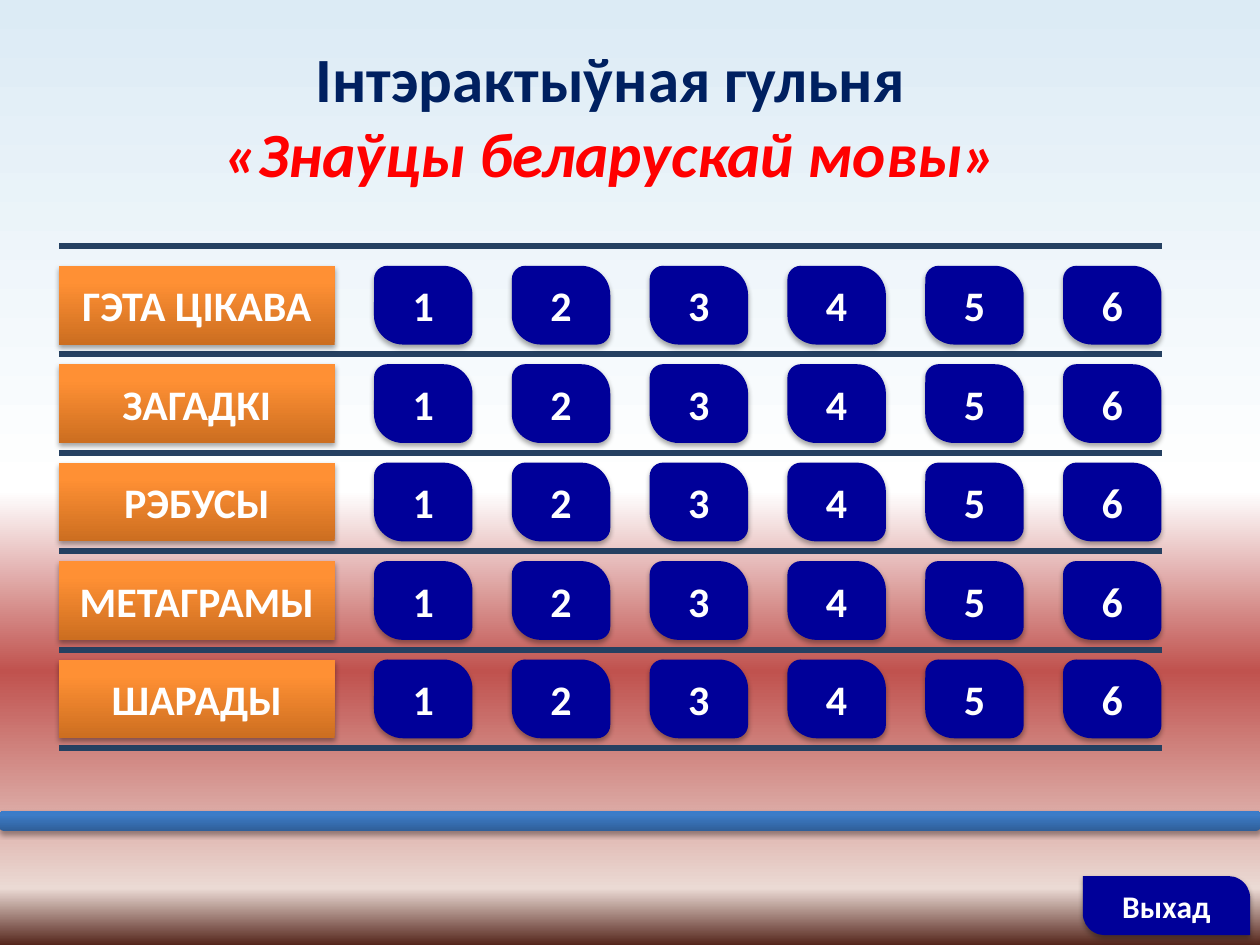
from lxml import etree
from pptx import Presentation
from pptx import util as u
from pptx.dml.color import RGBColor
from pptx.enum import shapes, text
from pptx.oxml.ns import qn

TITLE = [
    ("Інтэрактыўная гульня", {"color": "002060"}),
    ("«Знаўцы беларускай мовы»", {"color": "FF0000", "italic": True}),
]
CATEGORIES = ["ГЭТА ЦІКАВА", "ЗАГАДКІ", "РЭБУСЫ", "МЕТАГРАМЫ", "ШАРАДЫ"]
QUESTIONS = ["1", "2", "3", "4", "5", "6"]
EXIT = "Выхад"

THEME = {
    "font": "Calibri", "title": 36, "game": 24, "exit": 18,
    "white": "FFFFFF", "tile": "000099", "rule": "254061", "shadow": "000000",
    "sky": [(0, "DCEBF5"), (52, "FFFFFF"), (71, "C0524E"),
            (94, "EBDAD4"), (100, "55261C")],
    "orange": [(0, "CC6E20"), (80, "FF9034"), (100, "FF9136")],
    "blue": [(0, "2F5F99"), (80, "3D7CC7"), (100, "3A7CCB")],
}

# All lengths in points
WIDTH, HEIGHT = 720, 540
LEFT, TOP = 33.75, 151.9
ROW_PITCH, ROW_HEIGHT = 56.25, 45
LABEL_WIDTH = 157.5
TILE_LEFT, TILE_PITCH, TILE_WIDTH = 213.75, 78.75, 56.25
RIGHT = TILE_LEFT + (len(QUESTIONS) - 1) * TILE_PITCH + TILE_WIDTH
RULE_TOP, RULE_GAP = 140.6, 5.6


def child(parent, tag, **attributes):
    return etree.SubElement(parent, qn(tag), attributes)


def fill_gradient(fill, owner, stops, angle):
    """Fill with any number of stops; the angle runs clockwise in degrees."""
    fill.gradient()
    gradient = next(owner.iter(qn("a:gradFill")))
    for part in list(gradient):
        gradient.remove(part)
    stop_list = child(gradient, "a:gsLst")
    for position, color in stops:
        stop = child(stop_list, "a:gs", pos=str(position * 1000))
        child(stop, "a:srgbClr", val=color)
    child(gradient, "a:lin", ang=str(angle * 60000), scaled="0")


def drop_shadow(shape):
    shape.shadow.inherit = False
    effects = shape.element.spPr.find(qn("a:effectLst"))
    shadow = child(effects, "a:outerShdw", blurRad=str(u.Pt(3.1)),
                   dist=str(u.Pt(1.8)), dir="5400000", rotWithShape="0")
    color = child(shadow, "a:srgbClr", val=THEME["shadow"])
    child(color, "a:alpha", val="35000")


def write(paragraph, words, size, color=THEME["white"], italic=False):
    paragraph.alignment = text.PP_ALIGN.CENTER
    run = paragraph.add_run()
    run.text = words
    run.font.name = THEME["font"]
    run.font.size = u.Pt(size)
    run.font.bold = True
    run.font.italic = italic
    run.font.color.rgb = RGBColor.from_string(color)


def add_block(slide, kind, box, fill, words="", size=THEME["game"], corners=()):
    """Add a shadowed shape; fill is one colour or a list of gradient stops."""
    block = slide.shapes.add_shape(kind, *map(u.Pt, box))
    for index, corner in enumerate(corners):
        block.adjustments[index] = corner
    if isinstance(fill, str):
        block.fill.solid()
        block.fill.fore_color.rgb = RGBColor.from_string(fill)
    else:
        fill_gradient(block.fill, block.element, fill, 270)
    block.line.fill.background()
    drop_shadow(block)
    if words:
        block.text_frame.vertical_anchor = text.MSO_ANCHOR.MIDDLE
        write(block.text_frame.paragraphs[0], words, size)


def add_rule(slide, y):
    rule = slide.shapes.add_connector(
        shapes.MSO_CONNECTOR.STRAIGHT, *map(u.Pt, (LEFT, y, RIGHT, y)))
    rule.line.color.rgb = RGBColor.from_string(THEME["rule"])
    rule.line.width = u.Pt(3.5)
    child(rule.element.spPr, "a:effectLst")


def add_title(slide):
    title = slide.shapes.title
    title.left, title.top, title.width, title.height = map(
        u.Pt, (118, 31.7, 461.5, 67.7))
    title.text_frame.word_wrap = True
    title.text_frame.auto_size = text.MSO_AUTO_SIZE.NONE
    title.text_frame.vertical_anchor = text.MSO_ANCHOR.MIDDLE
    paragraph = title.text_frame.paragraphs[0]
    for index, (words, style) in enumerate(TITLE):
        if index:
            paragraph.add_line_break()
        write(paragraph, words, THEME["title"], **style)


def add_game_board(slide):
    shape_kind = shapes.MSO_SHAPE
    add_rule(slide, RULE_TOP)
    for row, category in enumerate(CATEGORIES):
        top = TOP + row * ROW_PITCH
        add_rule(slide, top + ROW_HEIGHT + RULE_GAP)
        add_block(slide, shape_kind.RECTANGLE,
                  (LEFT, top, LABEL_WIDTH, ROW_HEIGHT), THEME["orange"], category)
        for column, question in enumerate(QUESTIONS):
            left = TILE_LEFT + column * TILE_PITCH
            add_block(slide, shape_kind.ROUND_2_DIAG_RECTANGLE,
                      (left, top, TILE_WIDTH, ROW_HEIGHT), THEME["tile"],
                      question, corners=(0.17, 0.37))


def main():
    deck = Presentation()
    deck.slide_width, deck.slide_height = u.Pt(WIDTH), u.Pt(HEIGHT)
    slide = deck.slides.add_slide(deck.slide_layouts[5])
    fill_gradient(slide.background.fill, slide.element, THEME["sky"], 90)
    add_title(slide)
    add_game_board(slide)
    add_block(slide, shapes.MSO_SHAPE.ROUND_2_DIAG_RECTANGLE,
              (618.75, 500.6, 95.6, 33.75), THEME["tile"], EXIT,
              size=THEME["exit"], corners=(0, 0.37))
    add_block(slide, shapes.MSO_SHAPE.ROUNDED_RECTANGLE,
              (0, 463.5, WIDTH, 11.25), THEME["blue"])
    deck.save("out.pptx")


if __name__ == "__main__":
    main()
